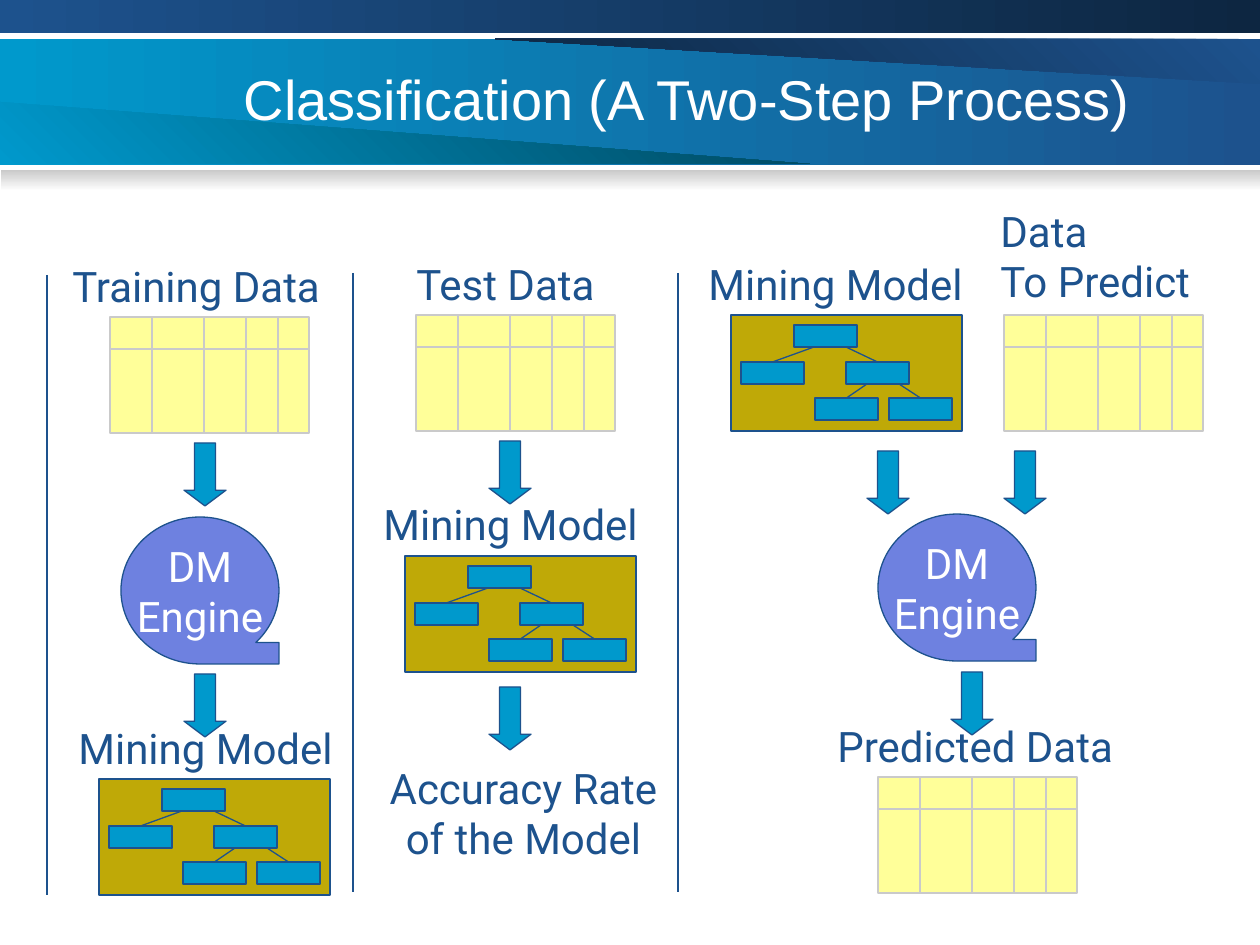
import dataclasses

import lxml.etree
import pptx
import pptx.dml.color
import pptx.enum.shapes
import pptx.enum.text
import pptx.oxml.ns
import pptx.util


@dataclasses.dataclass(frozen=True)
class Theme:
    white: str = "FFFFFF"
    blue: str = "1D528D"
    navy: str = "0D2641"
    cyan: str = "0099CC"
    teal: str = "00475E"
    grey: str = "CACACA"
    yellow: str = "FFFF99"
    olive: str = "BFA907"
    violet: str = "6E81E0"
    title_font: str = "Arial"
    body_font: str = "Roboto"
    title_size: int = 32
    body_size: int = 24
    line_width: float = 0.75


theme = Theme()
px = 914400 / 126
color = pptx.dml.color.RGBColor.from_string
shape_kind = pptx.enum.shapes.MSO_SHAPE
align = pptx.enum.text.PP_ALIGN
anchor = pptx.enum.text.MSO_ANCHOR
auto_size = pptx.enum.text.MSO_AUTO_SIZE

presentation = pptx.Presentation()
presentation.slide_width = round(1260 * px)
presentation.slide_height = round(945 * px)
slide = presentation.slides.add_slide(presentation.slide_layouts[5])


def add_box(kind, left, top, width, height, fill=theme.cyan, line=theme.blue):
    box = slide.shapes.add_shape(kind, *[round(n * px) for n in (left, top, width, height)])
    box.shadow.inherit = False
    box.fill.solid()
    box.fill.fore_color.rgb = color(fill)
    box.line.color.rgb = color(line)
    box.line.width = pptx.util.Pt(theme.line_width)
    return box


def add_line(x1, y1, x2, y2, line=theme.blue):
    connector = slide.shapes.add_connector(
        pptx.enum.shapes.MSO_CONNECTOR.STRAIGHT, *[round(n * px) for n in (x1, y1, x2, y2)])
    connector.line.color.rgb = color(line)
    connector.line.width = pptx.util.Pt(theme.line_width)
    lxml.etree.SubElement(connector.element.spPr, pptx.oxml.ns.qn("a:effectLst"))
    return connector


banner = [
    ([(0, 39), (1260, 39), (1260, 165), (0, 165)], theme.cyan, theme.blue, 0),
    ([(1237, 39), (495, 39), (1260, 84), (1260, 39)], theme.blue, theme.navy, 225),
    ([(24, 164), (810, 164), (0, 102), (0, 164)], theme.cyan, theme.teal, 45),
    ([(0, 0), (1260, 0), (1260, 33), (0, 33)], theme.blue, theme.navy, 0),
    ([(1, 170), (1260, 170), (1260, 191), (1, 191)], theme.grey, theme.white, 270),
]
for points, start, end, angle in banner:
    builder = slide.shapes.build_freeform(*points[0], scale=px)
    builder.add_line_segments(points[1:], close=True)
    band = builder.convert_to_shape()
    band.shadow.inherit = False
    band.line.fill.background()
    band.fill.gradient()
    band.fill.gradient_angle = angle
    for stop, stop_color in zip(band.fill.gradient_stops, (start, end)):
        stop.color.rgb = color(stop_color)

title = slide.shapes.title
title.left, title.top, title.width, title.height = [round(n * px) for n in (231, 38, 1029, 120)]
title.element.getparent().append(title.element)
title.text_frame.word_wrap = True
title.text_frame.auto_size = auto_size.NONE
title.text_frame.vertical_anchor = anchor.MIDDLE
paragraph = title.text_frame.paragraphs[0]
paragraph.alignment = align.LEFT
run = paragraph.add_run()
run.text = "Classification (A Two-Step Process)"
run.font.name = theme.title_font
run.font.size = pptx.util.Pt(theme.title_size)
run.font.color.rgb = color(theme.white)

for x, top, bottom in [(47, 275, 895), (353, 273, 892), (678, 273, 892)]:
    add_line(x, top, x, bottom)

for left, top in [(110, 317), (416, 315), (1004, 315), (878, 777)]:
    add_box(shape_kind.FLOWCHART_PROCESS, left, top, 199, 116, theme.yellow, theme.grey)
    for offset in (42, 94, 136, 168):
        add_line(left + offset, top, left + offset, top + 116, theme.grey)
    add_line(left, top + 32, left + 199, top + 32, theme.grey)

for left, top in [(99, 779), (405, 556), (731, 315)]:
    add_box(shape_kind.RECTANGLE, left, top, 231, 116, theme.olive)
    nodes = [add_box(shape_kind.RECTANGLE, left + x, top + y, 63, 22)
             for x, y in [(63, 10), (10, 47), (115, 47), (84, 83), (158, 83)]]
    for x, y, child in [(83, 32, 1), (115, 32, 2), (136, 69, 3), (168, 69, 4)]:
        branch = add_line(left + x, top + y, left + x, top + y)
        branch.end_connect(nodes[child], 0)

texts = []
for left, top in [(121, 517), (878, 514)]:
    engine = add_box(shape_kind.FLOWCHART_SEQUENTIAL_ACCESS_STORAGE,
                     left, top, 158, 147, theme.violet)
    engine.text_frame.vertical_anchor = anchor.MIDDLE
    texts.append((engine, ["DM", "Engine"], theme.white, align.CENTER))

labels = [
    (60, 254, 292, 63, ["Training Data"], align.LEFT),
    (404, 252, 204, 63, ["Test Data"], align.LEFT),
    (696, 252, 297, 63, ["Mining Model"], align.LEFT),
    (988, 199, 223, 113, ["Data", "To Predict"], align.LEFT),
    (66, 716, 297, 63, ["Mining Model"], align.LEFT),
    (371, 492, 297, 63, ["Mining Model"], align.LEFT),
    (368, 756, 311, 113, ["Accuracy Rate", "of the Model"], align.CENTER),
    (825, 714, 316, 63, ["Predicted Data"], align.LEFT),
]
for left, top, width, height, lines, alignment in labels:
    label = slide.shapes.add_textbox(*[round(n * px) for n in (left, top, width, height)])
    label.text_frame.auto_size = auto_size.SHAPE_TO_FIT_TEXT
    texts.append((label, lines, theme.blue, alignment))

for shape, lines, text_color, alignment in texts:
    frame = shape.text_frame
    frame.word_wrap = False
    for index, line in enumerate(lines):
        paragraph = frame.add_paragraph() if index else frame.paragraphs[0]
        paragraph.alignment = alignment
        run = paragraph.add_run()
        run.text = line
        run.font.name = theme.body_font
        run.font.size = pptx.util.Pt(theme.body_size)
        run.font.color.rgb = color(text_color)

for left, top in [(184, 443), (184, 674), (489, 441), (489, 687),
                  (867, 451), (1004, 451), (951, 672)]:
    arrow = add_box(shape_kind.DOWN_ARROW, left, top, 42, 63)
    arrow.adjustments[0] = 0.5
    arrow.adjustments[1] = 0.375

presentation.save("out.pptx")
